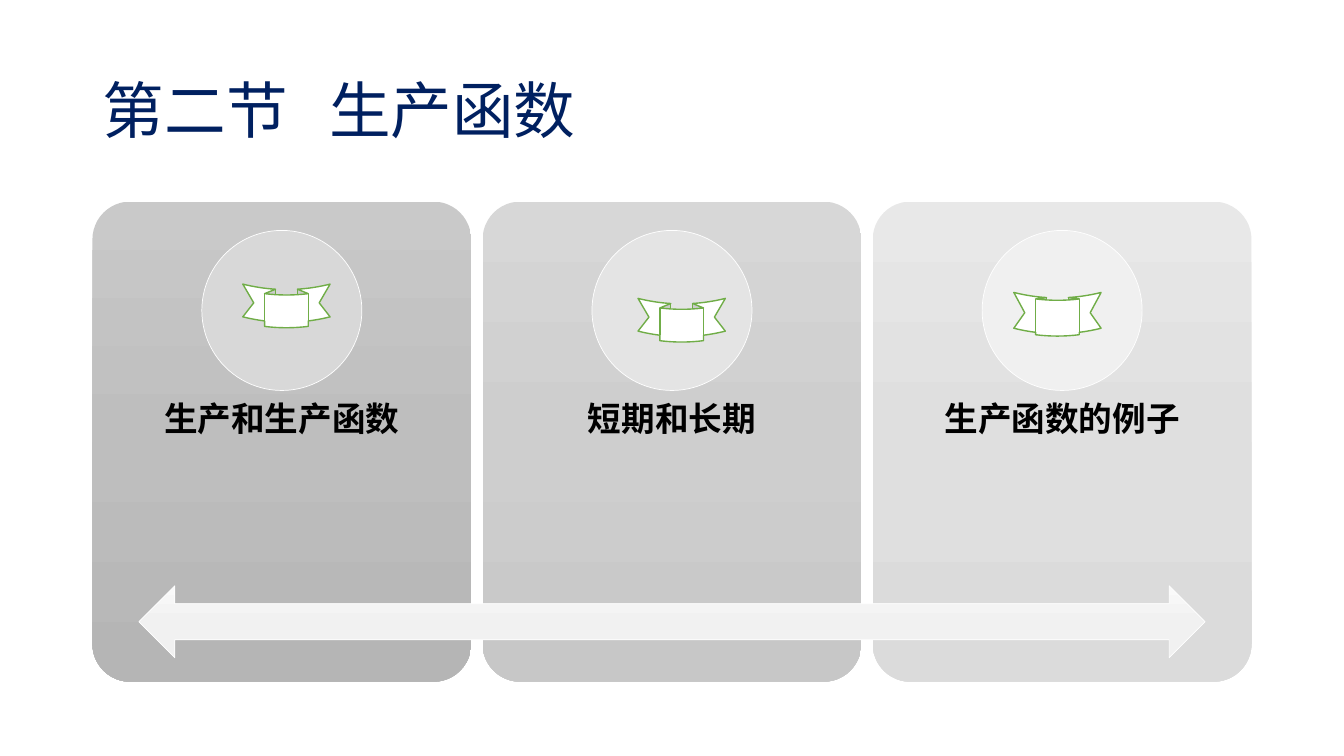
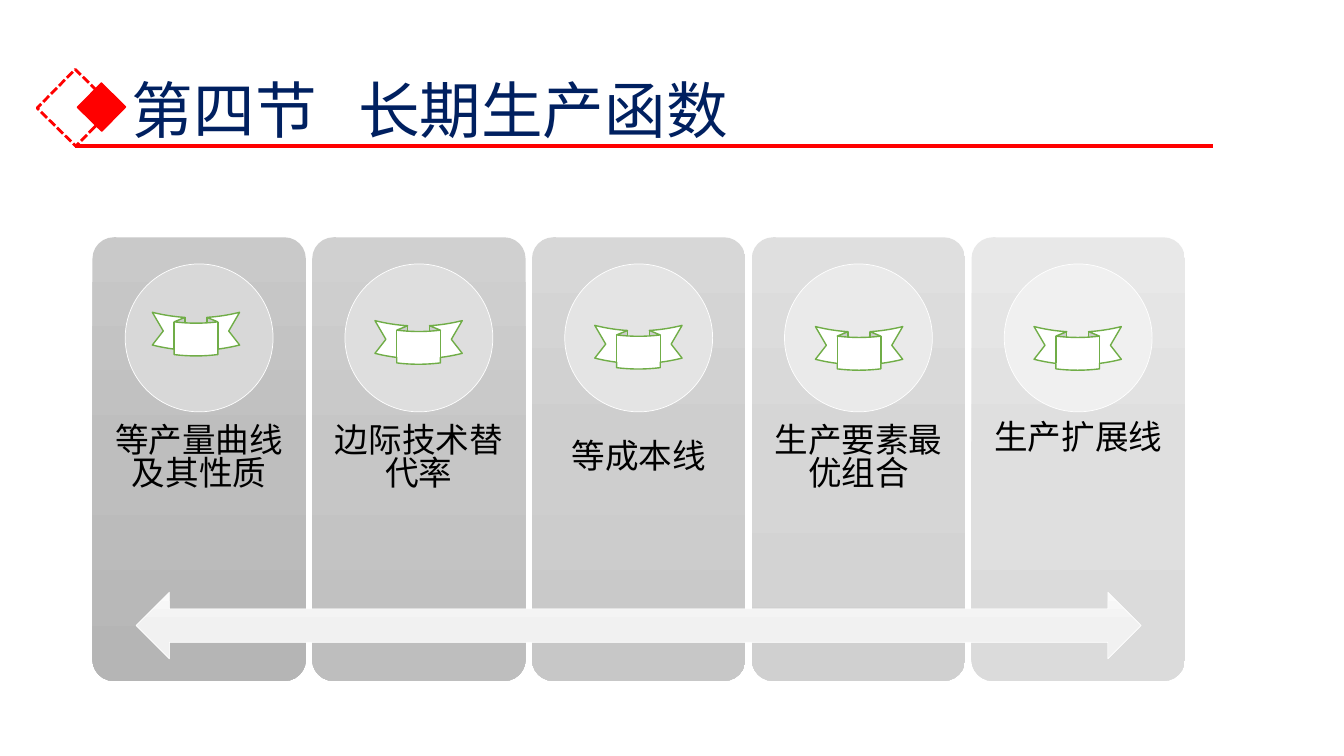
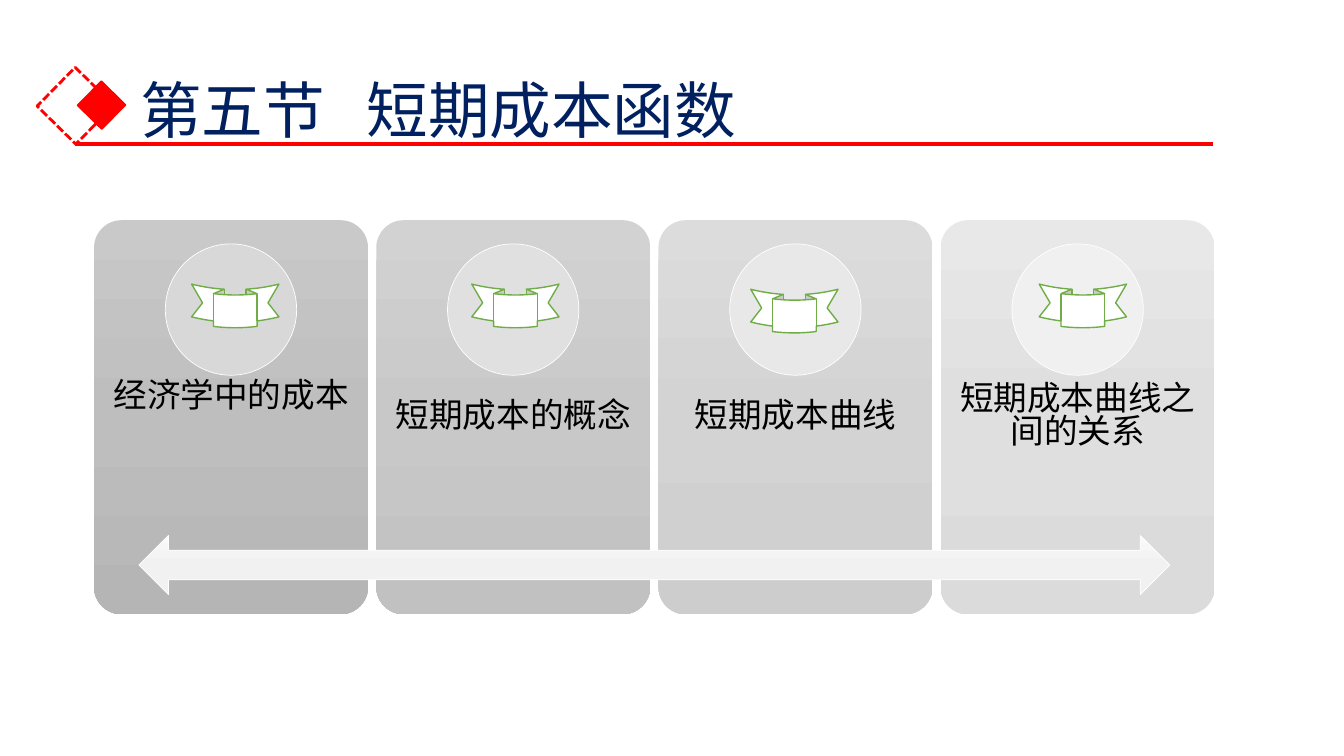
"""Build three section slides of graded cards under a titled band."""
from dataclasses import dataclass
from typing import Optional

from lxml.etree import SubElement
from pptx import Presentation
from pptx.dml.color import RGBColor
from pptx.enum.dml import MSO_LINE
from pptx.enum.shapes import MSO_CONNECTOR, MSO_SHAPE
from pptx.enum.text import MSO_ANCHOR, MSO_AUTO_SIZE, PP_ALIGN
from pptx.oxml.ns import qn
from pptx.util import Cm, Pt

FONT = "Noto Sans CJK SC"
INKS = {"title": "002060", "text": "000000", "white": "FFFFFF",
        "green": "70AD47", "red": "FF0000"}
TONES = {
    "dark": ("C9C9C9", "BEBEBE", "B5B5B5"),
    "dim": ("D0D0D0", "C6C6C6", "BEBEBE"),
    "soft": ("D2D2D2", "C8C8C8", "C1C1C1"),
    "mid": ("D7D7D7", "CECECE", "C7C7C7"),
    "fair": ("DCDCDC", "D3D3D3", "CDCDCD"),
    "pale": ("DFDFDF", "D6D6D6", "D0D0D0"),
    "light": ("E8E8E8", "DFDFDF", "DBDBDB"),
    "arrow": ("FAFAFA", "F1F1F1", "F0F0F0"),
}
DISCS = {"dark": "D8D8D8", "dim": "DEDEDE", "soft": "E0E0E0", "mid": "E4E4E4",
         "fair": "E8E8E8", "pale": "EAEAEA", "light": "F0F0F0"}
TITLE = {
    "frame": {"vertical_anchor": MSO_ANCHOR.MIDDLE, "word_wrap": True,
              "auto_size": MSO_AUTO_SIZE.NONE},
    "para": {"alignment": PP_ALIGN.LEFT, "line_spacing": 0.9},
    "font": {"size": Pt(44), "name": FONT, "bold": False},
}
LABEL = {
    "frame": {"vertical_anchor": MSO_ANCHOR.MIDDLE, "word_wrap": True,
              "margin_left": Cm(0.25), "margin_right": Cm(0.25),
              "margin_top": Cm(0.48)},
    "para": {"alignment": PP_ALIGN.CENTER, "line_spacing": 0.82},
    "font": {"size": Pt(24), "name": FONT},
}
RIGHT = 31.55
GAP = 0.03


@dataclass
class Card:
    text: str
    tone: str
    x: float
    y: float
    high: bool = False
    fold: float = 0.25


@dataclass
class Page:
    title: str
    edge: float
    left: float
    top: float
    width: float
    height: float
    cards: list[Card]
    rule: Optional[float] = None
    bold: bool = False


PAGES = [
    Page("第二节\t生产函数", 2.34, 2.33, 5.08, 29.21, 12.1, [
        Card("生产和生产函数", "dark", 6.12, 7.16, True),
        Card("短期和长期", "mid", 16.08, 7.52, True),
        Card("生产函数的例子", "light", 25.55, 7.37, True, 0.18),
    ], bold=True),
    Page("第四节\t长期生产函数", 3.07, 2.33, 5.98, 27.53, 11.18, [
        Card("等产量曲线及其性质", "dark", 3.84, 7.87),
        Card("边际技术替代率", "dim", 9.45, 8.08),
        Card("等成本线", "mid", 14.99, 8.2),
        Card("生产要素最优组合", "pale", 20.55, 8.23),
        Card("生产扩展线", "light", 26.06, 8.23, True),
    ], rule=3.68),
    Page("第五节\t短期成本函数", 3.28, 2.37, 5.55, 28.24, 9.93, [
        Card("经济学中的成本", "dark", 4.83, 7.16, True),
        Card("短期成本的概念", "soft", 11.89, 7.16),
        Card("短期成本曲线", "fair", 18.92, 7.29),
        Card("短期成本曲线之间的关系", "light", 26.19, 7.16),
    ], rule=3.63),
]


def apply(item, form: dict) -> None:
    for key, value in form.items():
        setattr(item, key, value)


def write(frame, text: str, form: dict, ink: str, bold: bool = False):
    apply(frame, form["frame"])
    para = frame.paragraphs[0]
    apply(para, form["para"])
    run = para.add_run()
    run.text = text
    apply(run.font, form["font"])
    run.font.bold = bold
    run.font.color.rgb = RGBColor.from_string(INKS[ink])
    SubElement(run.font._element, qn("a:ea"), typeface=FONT)
    return para


def shade(shape, tones: tuple) -> None:
    shape.fill.gradient()
    shape.fill.gradient_angle = 270
    stops = shape.element.spPr.find(qn("a:gradFill")).find(qn("a:gsLst"))
    for stop in list(stops):
        stops.remove(stop)
    for spot, tone in enumerate(tones):
        stop = SubElement(stops, qn("a:gs"), pos=str(spot * 50000))
        SubElement(stop, qn("a:srgbClr"), val=tone)


def draw(slide, kind, box: tuple, fill=None, line: Optional[str] = None,
         weight: float = 0.5):
    shape = slide.shapes.add_shape(kind, *map(Cm, box))
    shape.shadow.inherit = False
    if isinstance(fill, tuple):
        shade(shape, fill)
    elif fill:
        shape.fill.solid()
        shape.fill.fore_color.rgb = RGBColor.from_string(fill)
    else:
        shape.fill.background()
    if line:
        shape.line.color.rgb = RGBColor.from_string(INKS[line])
        shape.line.width = Pt(weight)
    else:
        shape.line.fill.background()
    return shape


def head(slide, page: Page) -> None:
    title = slide.shapes.title
    apply(title, {"left": Cm(page.edge), "top": Cm(1.02),
                  "width": Cm(RIGHT - page.edge), "height": Cm(3.68)})
    para = write(title.text_frame, page.title, TITLE, "title")
    tabs = SubElement(para._p.get_or_add_pPr(), qn("a:tabLst"))
    SubElement(tabs, qn("a:tab"), pos=str(Cm(5.7)), algn="l")


def badge(slide, base: float) -> None:
    frame = draw(slide, MSO_SHAPE.RECTANGLE, (1.22, base - 1.65, 1.37, 1.37),
                 line="red", weight=2)
    frame.line.dash_style = MSO_LINE.SQUARE_DOT
    block = draw(slide, MSO_SHAPE.RECTANGLE, (2.13, base - 1.41, 0.86, 0.86),
                 INKS["red"], "red", 1)
    for shape in (frame, block):
        shape.rotation = 314.5
    rule = slide.shapes.add_connector(
        MSO_CONNECTOR.STRAIGHT, *map(Cm, (1.9, base, 30.58, base)))
    rule.line.color.rgb = RGBColor.from_string(INKS["red"])
    rule.line.width = Pt(2.25)
    SubElement(rule.element.spPr, qn("a:effectLst"))


def panel(slide, page: Page) -> None:
    count = len(page.cards)
    width = page.width / (count + GAP * (count - 1))
    disc = page.height / 3
    for spot, card in enumerate(page.cards):
        left = page.left + spot * width * (1 + GAP)
        shape = draw(slide, MSO_SHAPE.ROUNDED_RECTANGLE,
                     (left, page.top, width, page.height), TONES[card.tone])
        shape.adjustments[0] = 0.1
        write(shape.text_frame, card.text, LABEL, "text", page.bold)
        shape.text_frame.margin_bottom = Cm(1.48 if card.high else 0.48)
        draw(slide, MSO_SHAPE.OVAL,
             (left + (width - disc) / 2, page.top + 0.06 * page.height,
              disc, disc), DISCS[card.tone], "white")
    draw(slide, MSO_SHAPE.LEFT_RIGHT_ARROW,
         (page.left + 0.04 * page.width, page.top + 0.8 * page.height,
          0.92 * page.width, 0.15 * page.height), TONES["arrow"], "white")


def main() -> None:
    deck = Presentation()
    deck.slide_width, deck.slide_height = Cm(33.87), Cm(19.05)
    for page in PAGES:
        slide = deck.slides.add_slide(deck.slide_layouts[5])
        head(slide, page)
        panel(slide, page)
        if page.rule:
            badge(slide, page.rule)
        for card in page.cards:
            ribbon = draw(slide, MSO_SHAPE.CURVED_DOWN_RIBBON,
                          (card.x, card.y, 2.2, 1.1), INKS["white"], "green", 1)
            for spot, value in enumerate((card.fold, 0.5, 0.125)):
                ribbon.adjustments[spot] = value
    deck.save("out.pptx")


if __name__ == "__main__":
    main()
